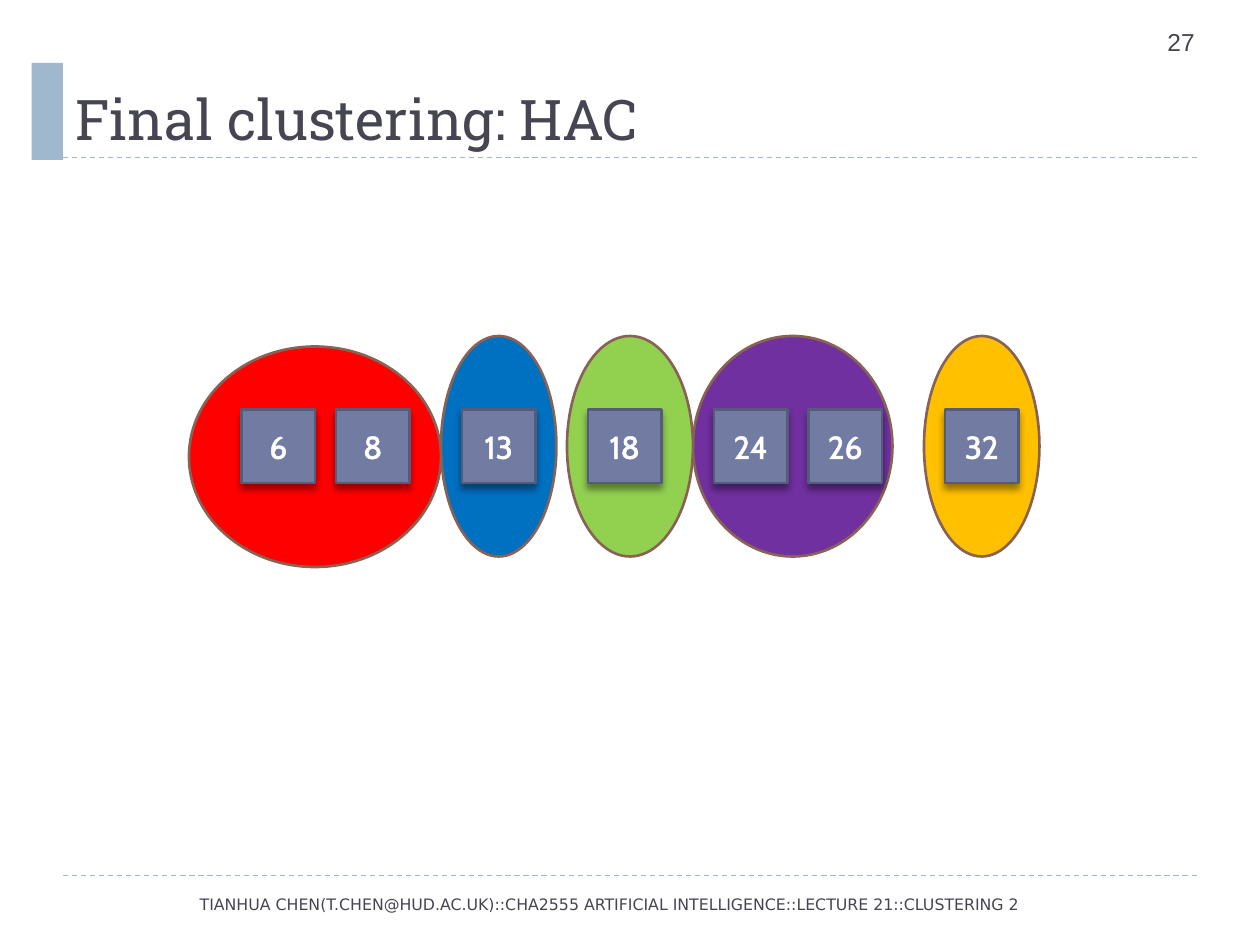
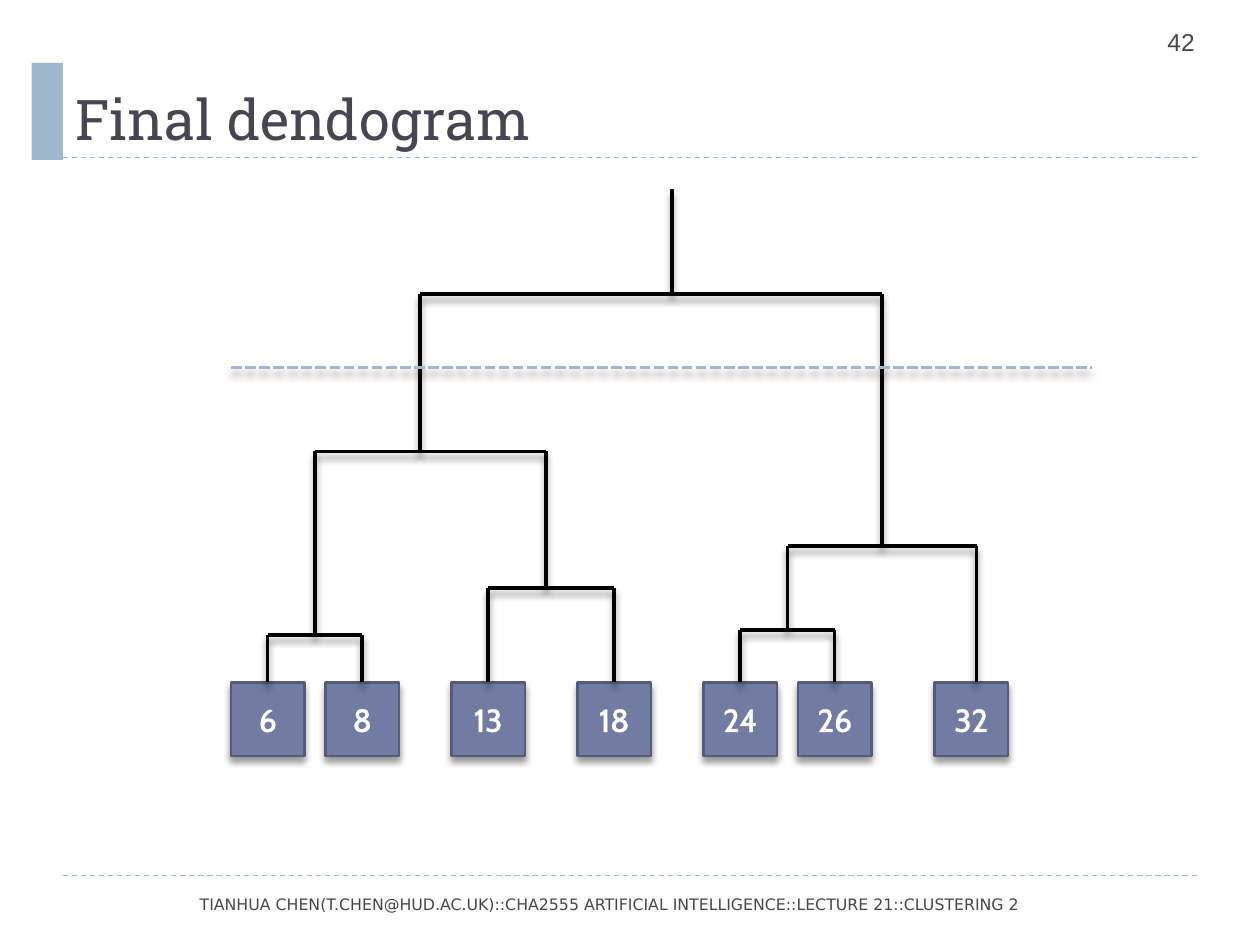
"""Build two slides on hierarchical clustering: the final clusters and their dendrogram."""
import pptx
import pptx.dml.color
import pptx.enum.dml
import pptx.enum.shapes
import pptx.enum.text
import pptx.oxml
import pptx.oxml.ns
import pptx.util

RGBColor = pptx.dml.color.RGBColor
Shapes = pptx.enum.shapes.MSO_SHAPE
Dashes = pptx.enum.dml.MSO_LINE
Align = pptx.enum.text.PP_ALIGN
Anchor = pptx.enum.text.MSO_ANCHOR

INK = RGBColor(0x46, 0x46, 0x53)
BLACK = RGBColor(0x00, 0x00, 0x00)
WHITE = RGBColor(0xFF, 0xFF, 0xFF)
ACCENT = RGBColor(0x9F, 0xB8, 0xCD)
TILE = RGBColor(0x72, 0x7C, 0xA3)
TILE_EDGE = RGBColor(0x54, 0x5C, 0x79)
CLUSTER_EDGE = RGBColor(0x88, 0x62, 0x54)
RED = RGBColor(0xFF, 0x00, 0x00)
BLUE = RGBColor(0x00, 0x70, 0xC0)
GREEN = RGBColor(0x92, 0xD0, 0x50)
PURPLE = RGBColor(0x70, 0x30, 0xA0)
AMBER = RGBColor(0xFF, 0xC0, 0x00)

COLUMNS, ROWS = 120, 90
TILE_SIZE = 7
FOOTER = ("TIANHUA CHEN(T.CHEN@HUD.AC.UK)::CHA2555 ARTIFICIAL INTELLIGENCE"
          "::LECTURE 21::CLUSTERING 2")

TILE_COLUMNS = {6: 22, 8: 31, 13: 43, 18: 55, 24: 67, 26: 76, 32: 89}
CLUSTERS = [
    (AMBER, 88, 32, 11),
    (PURPLE, 66, 32, 19),
    (GREEN, 54, 32, 12),
    (BLUE, 42, 32, 11),
    (RED, 18, 33, 24),
]
CLUSTER_HEIGHT = 21
LEAF_ROW = 65
BRANCHES = [
    (25.5, 34.5, 60.5, LEAF_ROW, LEAF_ROW),
    (70.5, 79.5, 60, LEAF_ROW, LEAF_ROW),
    (46.5, 58.5, 56, LEAF_ROW, LEAF_ROW),
    (75, 93, 52, 60, LEAF_ROW),
    (30, 52, 43, 60.5, 56),
    (40, 84, 28, 43, 52),
]


class Deck:
    """Hold the style and the current slide, and draw on a grid of columns and rows."""

    def __init__(self):
        self.presentation = pptx.Presentation()
        self.presentation.slide_width = pptx.util.Inches(10)
        self.presentation.slide_height = pptx.util.Inches(7.5)
        self.slide = None

    def place(self, column, row):
        return (int(self.presentation.slide_width * column / COLUMNS),
                int(self.presentation.slide_height * row / ROWS))

    def add_slide(self, title, number):
        self.slide = self.presentation.slides.add_slide(self.presentation.slide_layouts[6])
        for row in (83.4, 15):
            self.line(6, row, 114, row, ACCENT, 0.75, Dashes.DASH, shadow=False)
        self.shape(Shapes.RECTANGLE, 3, 6, 3, 9.24, ACCENT)
        self.text(str(number), 110, 2, 8, 4.8, "Arial", 14)
        self.text(title, 6, 2, 108, 13, "Roboto Slab", 32, anchor=Anchor.BOTTOM)
        self.text(FOOTER, 2.4, 83.5, 111.2, 5.3, "DejaVu Sans", 9, Align.CENTER, Anchor.MIDDLE)

    def effects(self, shape, distance=None):
        effects = pptx.oxml.parse_xml(
            f'<a:effectLst {pptx.oxml.ns.nsdecls("a")}/>' if distance is None else
            f'<a:effectLst {pptx.oxml.ns.nsdecls("a")}>'
            f'<a:outerShdw blurRad="{pptx.util.Pt(4)}" dist="{pptx.util.Pt(distance)}"'
            ' dir="5400000" rotWithShape="0"><a:srgbClr val="000000">'
            '<a:alpha val="40000"/></a:srgbClr></a:outerShdw></a:effectLst>')
        shape._element.spPr.append(effects)

    def label(self, shape, text, font, size, color, align, anchor):
        frame = shape.text_frame
        frame.word_wrap = True
        frame.vertical_anchor = anchor
        paragraph = frame.paragraphs[0]
        paragraph.text = text
        paragraph.alignment = align
        paragraph.font.name = font
        paragraph.font.size = pptx.util.Pt(size)
        paragraph.font.color.rgb = color
        return paragraph

    def text(self, text, column, row, width, height, font, size,
             align=Align.LEFT, anchor=Anchor.TOP):
        box = self.slide.shapes.add_textbox(*self.place(column, row), *self.place(width, height))
        self.label(box, text, font, size, INK, align, anchor)

    def shape(self, kind, column, row, width, height, fill, edge=None, shadow=None):
        shape = self.slide.shapes.add_shape(
            kind, *self.place(column, row), *self.place(width, height))
        shape.fill.solid()
        shape.fill.fore_color.rgb = fill
        if edge is None:
            shape.line.fill.background()
        else:
            shape.line.color.rgb = edge
            shape.line.width = pptx.util.Pt(1.5)
        self.effects(shape, shadow)
        return shape

    def tile(self, value, column, row):
        tile = self.shape(Shapes.RECTANGLE, column, row, TILE_SIZE, TILE_SIZE,
                          TILE, TILE_EDGE, shadow=3)
        paragraph = self.label(tile, str(value), "Cabin", 18, WHITE, Align.CENTER, Anchor.MIDDLE)
        outline = pptx.oxml.parse_xml(
            f'<a:ln {pptx.oxml.ns.nsdecls("a")} w="{pptx.util.Pt(1.45)}">'
            f'<a:solidFill><a:srgbClr val="{WHITE}"/></a:solidFill></a:ln>')
        paragraph.runs[0]._r.get_or_add_rPr().insert(0, outline)

    def tiles(self, row, shift=0):
        for value, column in TILE_COLUMNS.items():
            self.tile(value, column + shift, row)

    def line(self, column, row, end_column, end_row, color=BLACK, width=2, dash=None, shadow=True):
        line = self.slide.shapes.add_connector(
            pptx.enum.shapes.MSO_CONNECTOR.STRAIGHT,
            *self.place(column, row), *self.place(end_column, end_row))
        line.line.color.rgb = color
        line.line.width = pptx.util.Pt(width)
        if dash is not None:
            line.line.dash_style = dash
        self.effects(line, 3.4 if shadow else None)

    def branch(self, left, right, top, left_foot, right_foot):
        self.line(left, top, right, top)
        self.line(left, top, left, left_foot)
        self.line(right, top, right, right_foot)


def main():
    deck = Deck()

    deck.add_slide("Final clustering: HAC", 27)
    for color, column, row, width in CLUSTERS:
        deck.shape(Shapes.OVAL, column, row, width, CLUSTER_HEIGHT, color, CLUSTER_EDGE)
    deck.tiles(39, shift=1)

    deck.add_slide("Final dendogram", 42)
    deck.tiles(LEAF_ROW)
    for branch in BRANCHES:
        deck.branch(*branch)
    deck.line(64, 18, 64, 28)
    deck.line(22, 35, 104, 35, ACCENT, dash=Dashes.SQUARE_DOT)

    deck.presentation.save("out.pptx")


if __name__ == "__main__":
    main()
